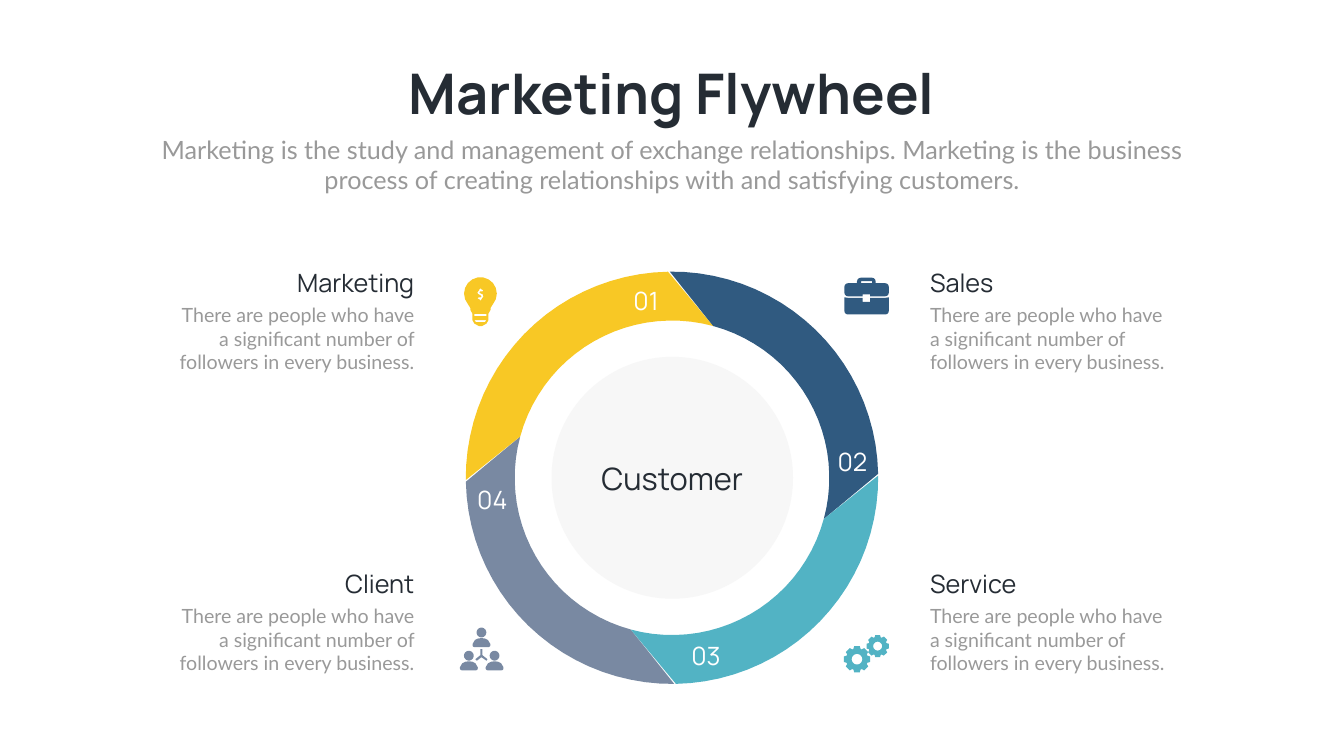
"""Build the Marketing Flywheel slide on a grid of 150 rows."""
from math import cos, radians, sin

from lxml import etree
from pptx import Presentation
from pptx.dml.color import RGBColor
from pptx.enum.shapes import MSO_SHAPE
from pptx.enum.text import MSO_ANCHOR, MSO_AUTO_SIZE, PP_ALIGN
from pptx.oxml.ns import qn
from pptx.util import Inches, Pt

LEFT, CENTER, RIGHT = PP_ALIGN.LEFT, PP_ALIGN.CENTER, PP_ALIGN.RIGHT
TOP, MIDDLE = MSO_ANCHOR.TOP, MSO_ANCHOR.MIDDLE
GROW = MSO_AUTO_SIZE.SHAPE_TO_FIT_TEXT
OVAL = MSO_SHAPE.OVAL

COLORS = {
    "yellow": "F8C825", "navy": "305A80", "teal": "52B3C4", "slate": "7989A2",
    "ink": "252C34", "gray": "999999", "white": "FFFFFF", "disc": "F2F2F2",
}
COLUMNS, ROWS = 266.6, 150
CELL = Inches(15) / ROWS
STEPS_PER_CELL = 100

deck = Presentation()
deck.slide_width = round(COLUMNS * CELL)
deck.slide_height = round(ROWS * CELL)
page = deck.slides.add_slide(deck.slide_layouts[6])


def arc(x, y, radius, start, end):
    """Return points along an arc, with angles clockwise from the right."""
    step = 4 if radius > 10 else 20 if radius > 0.9 else 30
    count = max(1, round(abs(end - start) / step))
    angles = [radians(start + (end - start) * i / count) for i in range(count + 1)]
    return [(x + radius * cos(a), y + radius * sin(a)) for a in angles]


def add_outline(color, *contours):
    """Draw closed contours, given in cells, as one filled shape."""
    scaled = [[(x * STEPS_PER_CELL, y * STEPS_PER_CELL) for x, y in contour]
              for contour in contours]
    builder = page.shapes.build_freeform(*scaled[0][0], scale=CELL / STEPS_PER_CELL)
    builder.add_line_segments(scaled[0][1:], close=True)
    for contour in scaled[1:]:
        builder.move_to(*contour[0])
        builder.add_line_segments(contour[1:], close=True)
    shape = builder.convert_to_shape()
    shape.shadow.inherit = False
    shape.fill.solid()
    shape.fill.fore_color.rgb = RGBColor.from_string(COLORS[color])
    shape.line.fill.background()


gears = []
for x, y, size in [(170, 130.8, 2.65), (174.1, 128.2, 2.25)]:
    teeth = []
    for tooth in range(0, 360, 45):
        for offset, share in [(-19, 0.82), (-12, 1), (12, 1), (19, 0.82)]:
            angle = radians(tooth + offset)
            teeth.append((x + size * share * cos(angle), y + size * share * sin(angle)))
    gears += [teeth, arc(x, y, size * 0.4, 360, 0)]
add_outline("teal", *gears)

for x, y in [(95.5, 125.5), (93, 130.1), (98.1, 130.1)]:
    add_outline("slate", arc(x, y, 0.97, 0, 360))
    add_outline("slate", [
        (x - 1.77, y + 2.3), (x - 1.3, y + 1.5), (x - 0.7, y + 1.2), (x, y + 1.1),
        (x + 0.7, y + 1.2), (x + 1.3, y + 1.5), (x + 1.77, y + 2.3),
        *arc(x + 1.37, y + 2.5, 0.4, 0, 90), *arc(x - 1.37, y + 2.5, 0.4, 90, 180)])
add_outline("slate", [
    (95.3, 128.8), (95.7, 128.8), (95.7, 130), (96.7, 130.8), (96.5, 131.1),
    (95.5, 130.4), (94.6, 131.1), (94.3, 130.8), (95.3, 130)])

add_outline("navy", [
    *arc(168.2, 56.9, 0.7, 180, 270), (170, 56.2), *arc(170.75, 55.85, 0.75, 180, 270),
    *arc(172.95, 55.85, 0.75, 270, 360), (173.7, 56.2), *arc(175.6, 56.9, 0.7, 270, 360),
    *arc(175.6, 58.1, 0.7, 0, 90), (172.6, 58.8), (172.6, 58.4), (171.1, 58.4),
    (171.1, 58.8), *arc(168.2, 58.1, 0.7, 90, 180),
], [(170.8, 56.2), (173, 56.2), (173, 55.8), (170.8, 55.8)])
add_outline("navy", [
    (167.5, 59), (168.2, 59.1), (171.1, 59.1), (171.1, 59.9), (172.6, 59.9),
    (172.6, 59.1), (175.6, 59.1), (176.3, 59),
    *arc(175.6, 61.7, 0.7, 0, 90), *arc(168.2, 61.7, 0.7, 90, 180)])

bulb = [
    *arc(95.3, 58.25, 3.25, 140, 400), (97.3, 61.1), (97.3, 61.5), (96.9, 62.2),
    (96.9, 63.5), (96.5, 64.2), (95.6, 64.7), (95, 64.7), (94.1, 64.2),
    (93.7, 63.5), (93.7, 62.2), (93.3, 61.5), (93.3, 61.1)]
dollar = [
    (95.3, 58.6), (94.8, 58.3), (94.7, 58), (95.1, 57.5), (95.1, 57.4), (95.3, 57.2),
    (95.5, 57.4), (95.9, 57.6), (95.7, 57.8), (95.3, 57.8), (95.1, 58), (95.3, 58.2),
    (95.75, 58.4), (95.9, 58.8), (95.5, 59.4), (95.3, 59.7), (95.1, 59.4),
    (94.7, 59.2), (94.9, 59), (95.3, 59), (95.5, 58.8)]
upper_thread = [(94.1, 62.3), (96.5, 62.3), (96.5, 62.7), (94.1, 62.7)]
lower_thread = [(94.1, 63.5), (96.5, 63.5), (96.2, 63.9), (94.4, 63.9)]
add_outline("yellow", bulb, dollar, upper_thread, lower_thread)

wheel_x, wheel_y = COLUMNS / 2, 94.8
for color, turn in [("slate", 180), ("yellow", 270), ("navy", 0), ("teal", 90)]:
    add_outline(color, arc(wheel_x, wheel_y, 40.9, turn - 90.6, turn - 1.1)
                + arc(wheel_x, wheel_y, 31.2, turn + 15.2, turn - 74.8))

disc = page.shapes.add_shape(
    OVAL, *[round(v * CELL) for v in (109.4, 70.8, 47.9, 48)])
disc.shadow.inherit = False
disc.fill.solid()
disc.fill.fore_color.rgb = RGBColor.from_string(COLORS["disc"])
etree.SubElement(disc.element.spPr.find(".//" + qn("a:srgbClr")),
                 qn("a:alpha"), val="60000")
disc.line.fill.background()
disc.text_frame.vertical_anchor = MIDDLE
para = disc.text_frame.paragraphs[0]
para.alignment = CENTER
span = para.add_run()
span.text = "Customer"
span.font.name, span.font.size = "Manrope", Pt(44)
span.font.color.rgb = RGBColor.from_string(COLORS["ink"])

INTRO = ("Marketing is the study and management of exchange relationships. "
         "Marketing is the business process of creating relationships with "
         "and satisfying customers.")
DETAIL = "There are people who have a significant number of followers in every business."

texts = [
    ("Marketing Flywheel", (75.8, 11.2, 115, 14.5), 80, "Manrope", "ink", CENTER, TOP, False),
    (INTRO, (29.2, 26.1, 208.2, 13.1), 36, "Lato", "gray", CENTER, TOP, True),
]
for number, x, y, width in [("01", 124.6, 56, 7.1), ("02", 165, 88.1, 8.2),
                            ("03", 135.9, 126.5, 8.3), ("04", 93.4, 95.6, 8.5)]:
    texts.append((number, (x, y, width, 7.1), 36, "Manrope", "white", CENTER, MIDDLE, False))
for heading, y, align in [("Service", 112.3, LEFT), ("Client", 112.3, RIGHT),
                          ("Sales", 52.6, LEFT), ("Marketing", 52.6, RIGHT)]:
    for text, drop, width, height, size, font, color in [
            (heading, 0, 45.4, 7.1, 36, "Manrope", "ink"),
            (DETAIL, 7.05, 50, 15.1, 28, "Lato", "gray")]:
        x = 183.5 if align == LEFT else 83.15 - width
        texts.append((text, (x, y + drop, width, height), size, font, color, align, TOP, True))

for text, place, size, font, color, align, anchor, wrap in texts:
    box = page.shapes.add_textbox(*[round(v * CELL) for v in place])
    frame = box.text_frame
    frame.word_wrap = wrap
    frame.auto_size = GROW
    frame.vertical_anchor = anchor
    para = frame.paragraphs[0]
    para.alignment = align
    span = para.add_run()
    span.text = text
    span.font.name, span.font.size = font, Pt(size)
    span.font.bold = size == 80
    span.font.color.rgb = RGBColor.from_string(COLORS[color])

deck.save("out.pptx")
